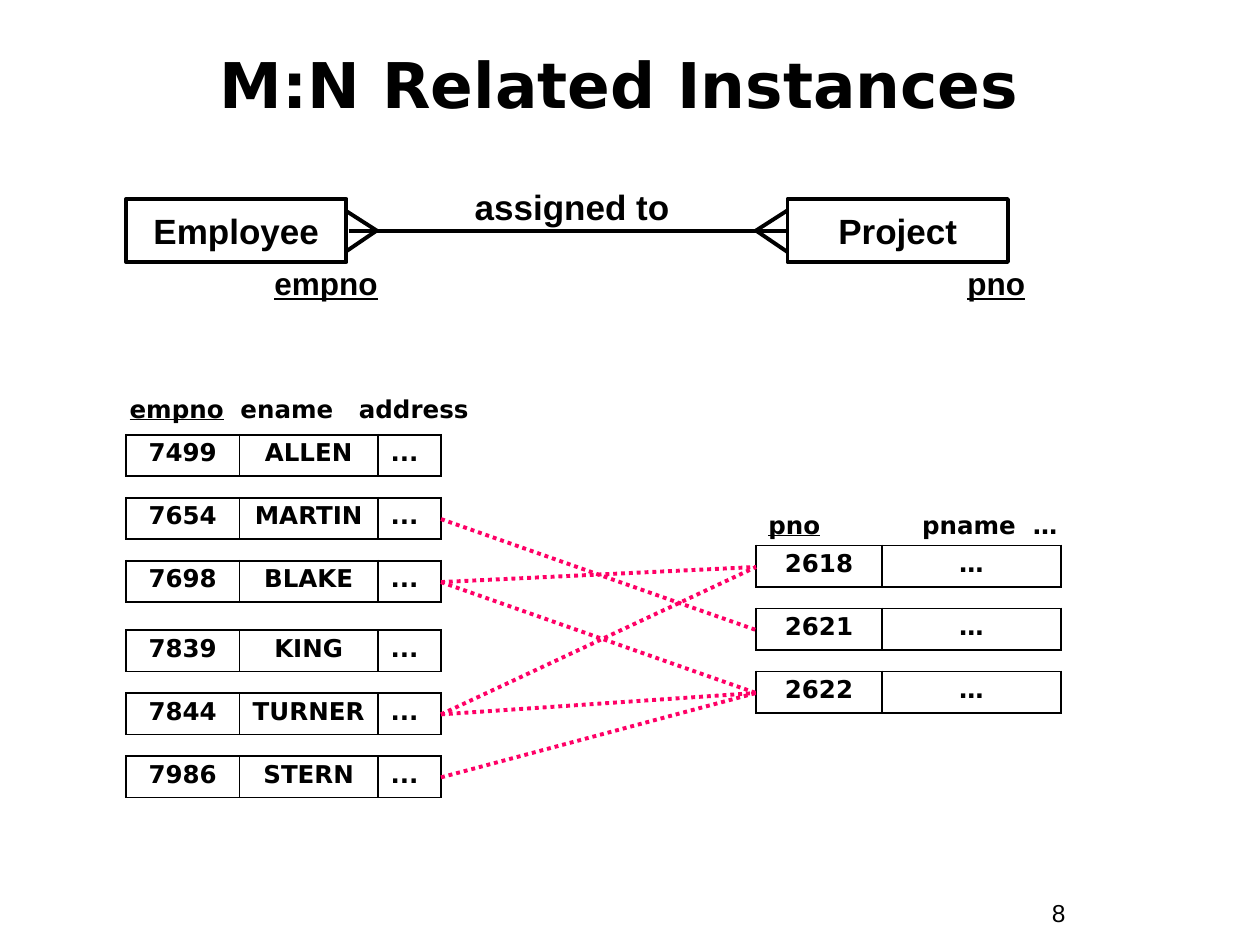
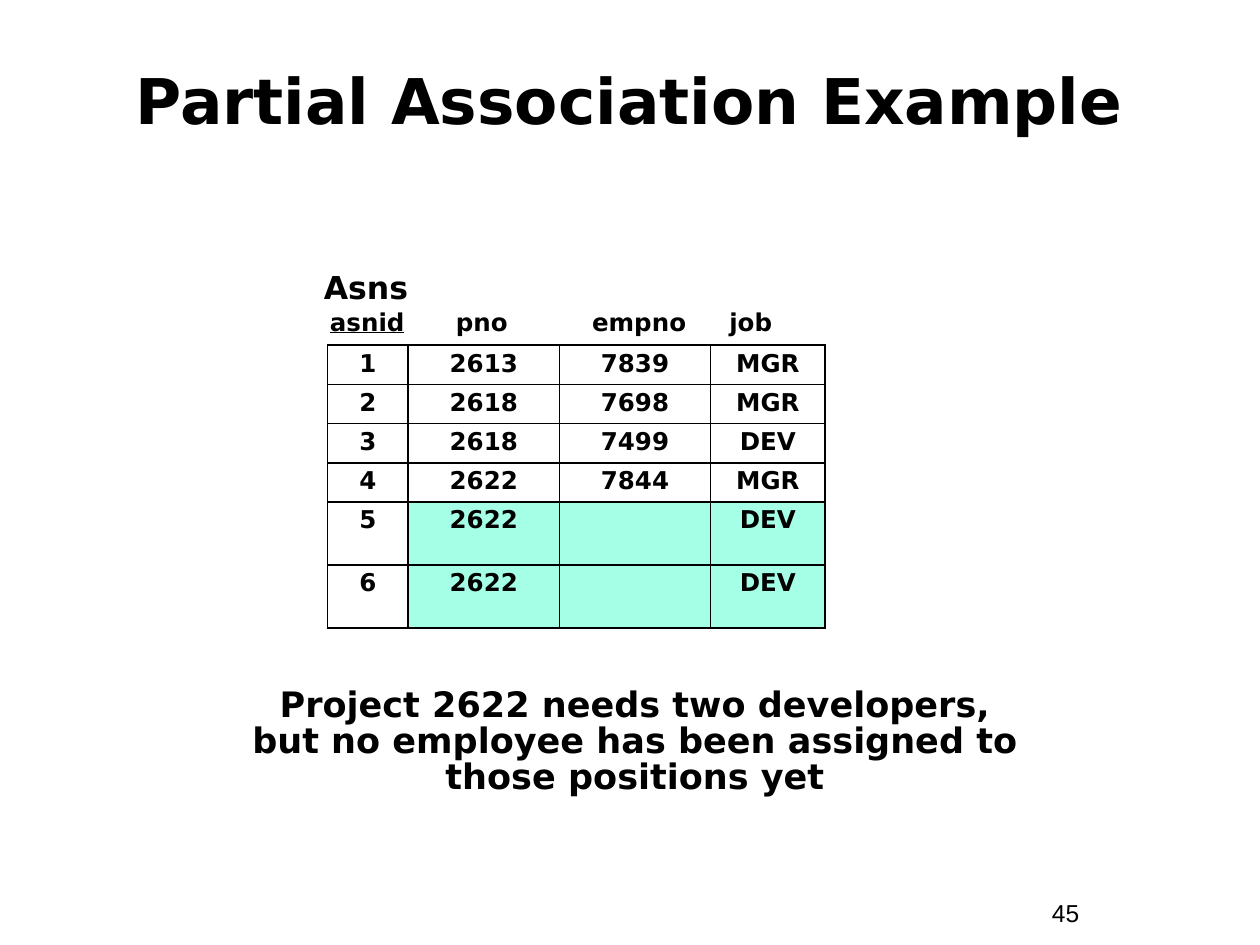
from lxml import etree
from pptx import Presentation
from pptx.dml.color import RGBColor
from pptx.enum.dml import MSO_LINE
from pptx.enum.shapes import MSO_CONNECTOR, MSO_SHAPE
from pptx.enum.text import MSO_ANCHOR, PP_ALIGN
from pptx.oxml.ns import qn
from pptx.util import Inches, Pt

LEFT, CENTER = PP_ALIGN.LEFT, PP_ALIGN.CENTER
TOP, MIDDLE = MSO_ANCHOR.TOP, MSO_ANCHOR.MIDDLE
RECT, STRAIGHT, DOT = MSO_SHAPE.RECTANGLE, MSO_CONNECTOR.STRAIGHT, MSO_LINE.ROUND_DOT
BLACK, PINK, MINT = "000000", "FF0066", "A5FFE7"
SANS, ARIAL = "DejaVu Sans", "Arial"

STYLES = {
    "title": dict(name=SANS, size=36, bold=True, align=CENTER, anchor=MIDDLE),
    "page": dict(name=ARIAL, size=14, bold=False),
    "head": dict(name=SANS, size=14, bold=True, key=True),
    "cell": dict(name=SANS, size=14, bold=True, align=CENTER, space=0.9),
    "rest": dict(name=SANS, size=14, bold=True, space=0.9),
    "key": dict(name=ARIAL, size=18, bold=True, key=True, space=0.9),
    "box": dict(name=ARIAL, size=20, bold=True, align=CENTER, anchor=MIDDLE),
    "link": dict(name=ARIAL, size=20, bold=True, align=CENTER),
    "name": dict(name=SANS, size=18, bold=True, align=CENTER),
    "note": dict(name=SANS, size=20, bold=True, align=CENTER, space=0.85),
}


def color(text):
    return RGBColor.from_string(text)


def write(frame, text, kind, stops=()):
    style = STYLES[kind]
    para = frame.paragraphs[0]
    first, tab, rest = text.partition("\t")
    para.text = first
    if tab:
        para.add_run().text = tab + rest
    if stops:
        tabs = etree.SubElement(para._p.get_or_add_pPr(), qn("a:tabLst"))
        for stop in stops:
            etree.SubElement(tabs, qn("a:tab"), pos=str(Inches(stop)), algn="l")
    para.alignment = style.get("align", LEFT)
    if "space" in style:
        para.line_spacing = style["space"]
    for run in para.runs:
        looks = dict(name=style["name"], size=Pt(style["size"]), bold=style["bold"])
        for attr, value in looks.items():
            setattr(run.font, attr, value)
        run.font.color.rgb = color(BLACK)
    if style.get("key"):
        para.runs[0].font.underline = True


deck = Presentation()
deck.slide_width, deck.slide_height = Inches(10), Inches(7.5)
many, part = [deck.slides.add_slide(deck.slide_layouts[6]) for _ in range(2)]

texts = [
    (many, (0.25, 0.33, 9.33, 0.67), "M:N Related Instances", "title", ()),
    (many, (8.25, 7.08, 0.92, 0.34), "8", "page", ()),
    (many, (0.93, 3.08, 3.61, 0.34), "empno\tename\taddress", "head", (0.88, 1.82)),
    (many, (6, 4, 2.67, 0.34), "pno\tpname\t…", "head", (1.22, 2.1)),
    (many, (2.08, 2.08, 1.17, 0.37), "empno", "key", ()),
    (many, (7.58, 2.08, 1.17, 0.37), "pno", "key", ()),
    (many, (3.5, 1.42, 2.08, 0.44), "assigned to", "link", ()),
    (part, (0.33, 0.33, 9.33, 0.92), "Partial Association Example", "title", ()),
    (part, (8.25, 7.08, 0.92, 0.34), "45", "page", ()),
    (part, (2.52, 2.39, 4.08, 0.34), "asnid\tpno\tempno\tjob", "head", (1, 2.08, 3.17)),
    (part, (2.25, 2.08, 1.31, 0.4), "Asns", "name", ()),
    (part, (1.83, 5.42, 6.42, 0.95),
     "Project 2622 needs two developers,\n"
     "but no employee has been assigned to those positions yet", "note", ()),
]
for slide, spot, text, kind, stops in texts:
    frame = slide.shapes.add_textbox(*map(Inches, spot)).text_frame
    frame.word_wrap = True
    frame.vertical_anchor = STYLES[kind].get("anchor", TOP)
    write(frame, text, kind, stops)

for left, text in ((1, "Employee"), (6.25, "Project")):
    box = many.shapes.add_shape(RECT, *map(Inches, (left, 1.58, 1.75, 0.5)))
    box.shadow.inherit = False
    box.fill.background()
    box.line.color.rgb = color(BLACK)
    box.line.width = Pt(2.25)
    box.text_frame.word_wrap = False
    box.text_frame.vertical_anchor = MIDDLE
    write(box.text_frame, text, "box")

staff = {"7499": ("ALLEN", 3.45), "7654": ("MARTIN", 3.95), "7698": ("BLAKE", 4.45),
         "7839": ("KING", 5), "7844": ("TURNER", 5.5), "7986": ("STERN", 6)}
jobs = {"2618": 4.33, "2621": 4.83, "2622": 5.33}
asns = [
    ("1", "2613", "7839", "MGR"),
    ("2", "2618", "7698", "MGR"),
    ("3", "2618", "7499", "DEV"),
    ("4", "2622", "7844", "MGR"),
    ("5", "2622", "", "DEV"),
    ("6", "2622", "", "DEV"),
]
grids = [(many, 1, top, (0.9, 1.1, 0.5), (0.33,), [(num, name, "...")])
         for num, (name, top) in staff.items()]
grids += [(many, 6, top, (1, 1.42), (0.33,), [(num, "…")]) for num, top in jobs.items()]
grids.append((part, 2.6, 2.74, (0.64, 1.2, 1.2, 0.91), (0.31,) * 4 + (0.5,) * 2, asns))

for slide, left, top, cols, highs, rows in grids:
    spot = map(Inches, (left, top, sum(cols), sum(highs)))
    table = slide.shapes.add_table(len(rows), len(cols), *spot).table
    table.first_row = table.horz_banding = False
    for col, width in zip(table.columns, cols):
        col.width = Inches(width)
    for line, high, row in zip(table.rows, highs, rows):
        line.height = Inches(high)
        for spot, (cell, text) in enumerate(zip(line.cells, row)):
            cell.margin_left = cell.margin_right = Inches(0.1)
            cell.margin_top = cell.margin_bottom = Inches(0.05)
            for side in ("a:lnL", "a:lnR", "a:lnT", "a:lnB"):
                edge = etree.SubElement(cell._tc.get_or_add_tcPr(), qn(side), w=str(Pt(1.08)))
                paint = etree.SubElement(edge, qn("a:solidFill"))
                etree.SubElement(paint, qn("a:srgbClr"), val=BLACK)
            if "" in row and spot > 0:
                cell.fill.solid()
                cell.fill.fore_color.rgb = color(MINT)
            else:
                cell.fill.background()
            if text:
                write(cell.text_frame, text, "rest" if text == "..." else "cell")

lines = [(2.77, 1.83, 6.24, 1.83, BLACK)]
for tip, base in ((6, 6.25), (2.99, 2.74)):
    lines += [(tip, 1.83, base, end, BLACK) for end in (1.67, 2)]
pairs = [("7654", "2621"), ("7698", "2618"), ("7698", "2622"),
         ("7844", "2618"), ("7844", "2622"), ("7986", "2622")]
lines += [(3.5, staff[man][1] + 0.17, 6, jobs[job] + 0.17, PINK) for man, job in pairs]

for *ends, tint in lines:
    line = many.shapes.add_connector(STRAIGHT, *map(Inches, ends))
    line.line.color.rgb = color(tint)
    line.line.width = Pt(2.25)
    if tint == PINK:
        line.line.dash_style = DOT
    etree.SubElement(line._element.spPr, qn("a:effectLst"))

deck.save("out.pptx")
